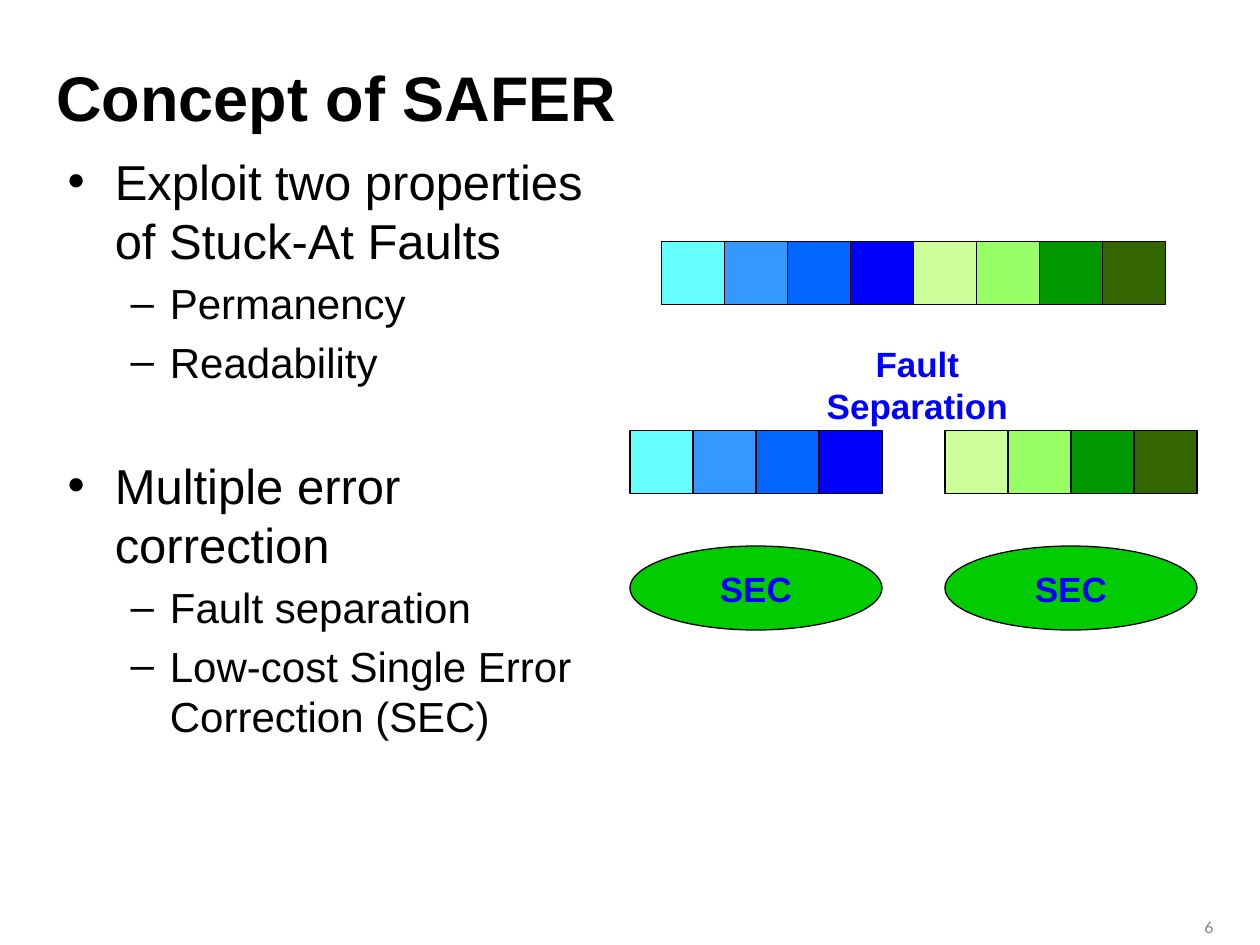
import dataclasses

import pptx
import pptx.dml.color
import pptx.enum.shapes
import pptx.enum.text
import pptx.oxml.ns
import pptx.util
from lxml import etree

Pt = pptx.util.Pt
RGB = pptx.dml.color.RGBColor.from_string
KIND = pptx.enum.shapes.MSO_SHAPE
ALIGN = pptx.enum.text.PP_ALIGN
ANCHOR = pptx.enum.text.MSO_ANCHOR
qn = pptx.oxml.ns.qn


@dataclasses.dataclass(frozen=True)
class Theme:
    font: str = "Arial"
    small: str = "Lato"
    black: str = "000000"
    gray: str = "808080"
    label: str = "0000FF"
    oval: str = "00CC00"
    blues: tuple = ("66FFFF", "3399FF", "0066FF", "0000FF")
    greens: tuple = ("CCFF99", "99FF66", "009900", "336600")
    title: int = 36
    body: int = 28
    sub: int = 24
    note: int = 20
    page: int = 9
    line: float = 0.75


THEME = Theme()

# Bullet levels: mark, left margin, hanging indent, type size
LEVELS = (("•", 27, 27, THEME.body), ("–", 58.5, 22.5, THEME.sub))

# Level, text, space before
POINTS = (
    (0, "Exploit two properties of Stuck-At Faults", 0),
    (1, "Permanency", 4.8),
    (1, "Readability", 4.8),
    (0, "Multiple error correction", 39.2),
    (1, "Fault separation", 4.8),
    (1, "Low-cost Single Error Correction (SEC)", 4.8),
)


def style(item, values):
    for name, value in values.items():
        setattr(item, name, value)


def write(para, text, size, color=THEME.black, bold=False, face=THEME.font):
    run = para.add_run()
    run.text = text
    style(run.font, {"name": face, "size": Pt(size), "bold": bold})
    run.font.color.rgb = RGB(color)


def add_text(slide, box, **frame):
    text = slide.shapes.add_textbox(*map(Pt, box)).text_frame
    style(text, {"word_wrap": True, **frame})
    return text


def add_shape(slide, kind, box, fill):
    shape = slide.shapes.add_shape(kind, *map(Pt, box))
    shape.shadow.inherit = False
    shape.fill.solid()
    shape.fill.fore_color.rgb = RGB(fill)
    shape.line.color.rgb = RGB(THEME.black)
    shape.line.width = Pt(THEME.line)
    return shape


def add_title(slide, box):
    frame = add_text(slide, box, vertical_anchor=ANCHOR.MIDDLE)
    write(frame.paragraphs[0], "Concept of SAFER", THEME.title, bold=True)


def add_points(slide, box):
    frame = add_text(slide, box)
    for i, (level, text, gap) in enumerate(POINTS):
        para = frame.add_paragraph() if i else frame.paragraphs[0]
        mark, left, hang, size = LEVELS[level]
        style(para, {"level": level, "space_before": Pt(gap)})
        props = para._p.get_or_add_pPr()
        props.set("marL", str(Pt(left)))
        props.set("indent", str(-Pt(hang)))
        etree.SubElement(props, qn("a:buFont")).set("typeface", THEME.font)
        etree.SubElement(props, qn("a:buChar")).set("char", mark)
        write(para, text, size)


def add_cells(slide, left, top, fills, side=36):
    for i, fill in enumerate(fills):
        add_shape(slide, KIND.RECTANGLE, (left + i * side, top, side, side), fill)


def add_oval(slide, box):
    frame = add_shape(slide, KIND.OVAL, box, THEME.oval).text_frame
    style(frame, {"word_wrap": False, "vertical_anchor": ANCHOR.MIDDLE})
    para = frame.paragraphs[0]
    para.alignment = ALIGN.CENTER
    write(para, "SEC", THEME.note, THEME.label, True)


def add_chart(slide, left, top):
    # Whole block
    add_cells(slide, left + 18, top, THEME.blues + THEME.greens)

    # Label between the rows
    frame = add_text(slide, (left + 78.5, top + 54, 171.5, 54),
                     margin_left=Pt(18), margin_right=Pt(18))
    para = frame.paragraphs[0]
    para.alignment = ALIGN.CENTER
    write(para, "Fault Separation", THEME.note, THEME.label, True)

    # Two groups, each with its own corrector
    for i, fills in enumerate((THEME.blues, THEME.greens)):
        start = left + i * 180
        add_cells(slide, start, top + 108, fills)
        add_oval(slide, (start, top + 174, 144, 48))


def add_page(slide, box):
    para = add_text(slide, box).paragraphs[0]
    para.alignment = ALIGN.RIGHT
    write(para, "6", THEME.page, THEME.gray, face=THEME.small)


def main():
    deck = pptx.Presentation()
    style(deck, {"slide_width": Pt(720), "slide_height": Pt(540)})
    slide = deck.slides.add_slide(deck.slide_layouts[6])
    add_title(slide, (25.2, 25.2, 648, 60))
    add_points(slide, (31.5, 83, 328, 430))
    add_chart(slide, 360, 138)
    add_page(slide, (653, 521, 47.5, 12.5))
    deck.save("out.pptx")


if __name__ == "__main__":
    main()
